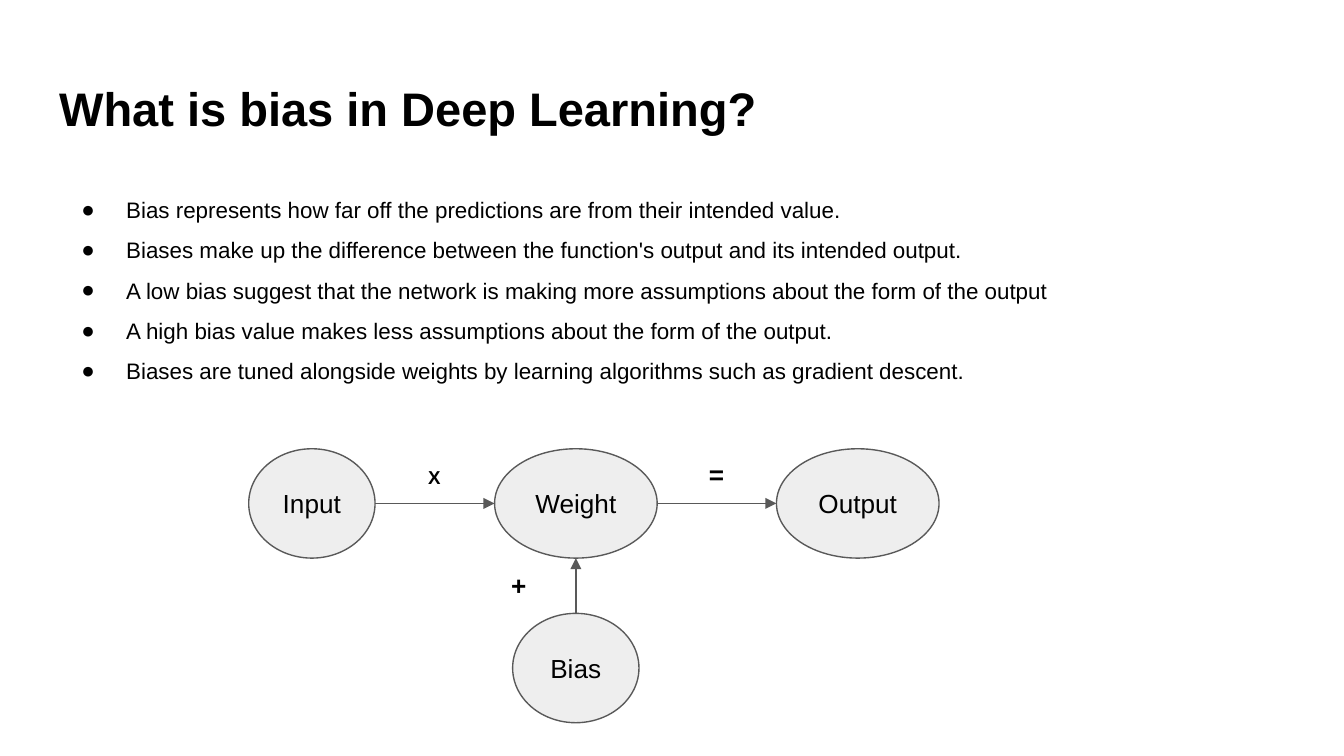
from dataclasses import dataclass

from lxml import etree
from pptx import Presentation
from pptx.dml.color import RGBColor
from pptx.enum.shapes import MSO_CONNECTOR, MSO_SHAPE
from pptx.enum.text import MSO_ANCHOR, MSO_AUTO_SIZE, PP_ALIGN
from pptx.oxml.ns import qn
from pptx.slide import Slide
from pptx.text.text import TextFrame
from pptx.util import Pt

ELLIPSE = MSO_SHAPE.OVAL
STRAIGHT = MSO_CONNECTOR.STRAIGHT
LEFT, CENTER = PP_ALIGN.LEFT, PP_ALIGN.CENTER
TOP, MIDDLE = MSO_ANCHOR.TOP, MSO_ANCHOR.MIDDLE
NO_AUTOFIT = MSO_AUTO_SIZE.NONE

COLORS = {"text": "000000", "node": "EEEEEE", "line": "595959"}
FONT = "Arial"
INSET = 7.2
LINE_WIDTH = 0.75
NODE_HEIGHT = 58.6
SMALL, LARGE = 67.7, 87.1
ROW_TOP, BIAS_TOP = 240.4, 328.6
WEIGHT_CENTER = 308.5

TITLE = "What is bias in Deep Learning?"
POINTS = [
    "Bias represents how far off the predictions are from their intended value.",
    "Biases make up the difference between the function's output and its intended output.",
    "A low bias suggest that the network is making more assumptions about the form of the output",
    "A high bias value makes less assumptions about the form of the output.",
    "Biases are tuned alongside weights by learning algorithms such as gradient descent.",
]


@dataclass(frozen=True)
class Node:
    label: str
    center: float
    top: float
    width: float

    @property
    def left(self) -> float:
        return self.center - self.width / 2

    @property
    def right(self) -> float:
        return self.center + self.width / 2

    @property
    def middle(self) -> float:
        return self.top + NODE_HEIGHT / 2

    @property
    def bottom(self) -> float:
        return self.top + NODE_HEIGHT


@dataclass(frozen=True)
class Operator:
    symbol: str
    left: float
    top: float
    height: float
    size: float


INPUT = Node("Input", 167.1, ROW_TOP, SMALL)
WEIGHT = Node("Weight", WEIGHT_CENTER, ROW_TOP, LARGE)
BIAS = Node("Bias", WEIGHT_CENTER, BIAS_TOP, SMALL)
OUTPUT = Node("Output", 459.5, ROW_TOP, LARGE)

ARROWS = [
    (INPUT.right, INPUT.middle, WEIGHT.left, WEIGHT.middle),
    (WEIGHT.right, WEIGHT.middle, OUTPUT.left, OUTPUT.middle),
    (BIAS.center, BIAS.top, WEIGHT.center, WEIGHT.bottom),
]
OPERATORS = [
    Operator("X", 213.9, 242.6, 26.6, 10),
    Operator("+", 259.2, 298.1, 31.7, 14),
    Operator("=", 365.1, 238.3, 31.7, 14),
]


def rgb(name: str) -> RGBColor:
    return RGBColor.from_string(COLORS[name])


def set_frame(frame: TextFrame, anchor: MSO_ANCHOR) -> None:
    frame.word_wrap = True
    frame.auto_size = NO_AUTOFIT
    frame.vertical_anchor = anchor
    frame.margin_left = frame.margin_right = Pt(INSET)
    frame.margin_top = frame.margin_bottom = Pt(INSET)


def format_text(frame: TextFrame, size: float, align: PP_ALIGN, bold: bool = False) -> None:
    for paragraph in frame.paragraphs:
        paragraph.alignment = align
        for run in paragraph.runs:
            run.font.name = FONT
            run.font.size = Pt(size)
            run.font.bold = bold
            run.font.color.rgb = rgb("text")


def add_title(slide: Slide) -> None:
    title = slide.shapes.title
    title.left, title.top, title.width, title.height = Pt(24.5), Pt(35.4), Pt(671), Pt(45.1)
    set_frame(title.text_frame, TOP)
    title.text_frame.text = TITLE
    format_text(title.text_frame, 25.2, LEFT, bold=True)


def add_points(slide: Slide) -> None:
    frame = slide.shapes.add_textbox(Pt(24.5), Pt(90.7), Pt(671), Pt(269)).text_frame
    set_frame(frame, TOP)
    frame.text = "\n".join(POINTS)
    for paragraph in frame.paragraphs:
        paragraph.line_spacing = 1.5
        properties = paragraph._p.get_or_add_pPr()
        properties.set("marL", str(Pt(36)))
        properties.set("indent", str(Pt(-24)))
        bullet_color = etree.SubElement(properties, qn("a:buClr"))
        etree.SubElement(bullet_color, qn("a:srgbClr"), val=COLORS["text"])
        etree.SubElement(properties, qn("a:buFont"), typeface=FONT)
        etree.SubElement(properties, qn("a:buChar"), char="●")
    format_text(frame, 12, LEFT)


def add_node(slide: Slide, node: Node) -> None:
    ellipse = slide.shapes.add_shape(
        ELLIPSE, Pt(node.left), Pt(node.top), Pt(node.width), Pt(NODE_HEIGHT))
    ellipse.shadow.inherit = False
    ellipse.fill.solid()
    ellipse.fill.fore_color.rgb = rgb("node")
    ellipse.line.color.rgb = rgb("line")
    ellipse.line.width = Pt(LINE_WIDTH)
    set_frame(ellipse.text_frame, MIDDLE)
    ellipse.text_frame.text = node.label
    format_text(ellipse.text_frame, 14, CENTER)


def add_arrow(slide: Slide, x1: float, y1: float, x2: float, y2: float) -> None:
    arrow = slide.shapes.add_connector(STRAIGHT, Pt(x1), Pt(y1), Pt(x2), Pt(y2))
    arrow.line.color.rgb = rgb("line")
    arrow.line.width = Pt(LINE_WIDTH)
    etree.SubElement(arrow.line._get_or_add_ln(), qn("a:tailEnd"), type="triangle")
    etree.SubElement(arrow._element.spPr, qn("a:effectLst"))


def add_operator(slide: Slide, operator: Operator) -> None:
    frame = slide.shapes.add_textbox(
        Pt(operator.left), Pt(operator.top), Pt(37.4), Pt(operator.height)).text_frame
    set_frame(frame, TOP)
    frame.text = operator.symbol
    format_text(frame, operator.size, CENTER, bold=True)


def main() -> None:
    presentation = Presentation()
    presentation.slide_width, presentation.slide_height = Pt(720), Pt(405)
    slide = presentation.slides.add_slide(presentation.slide_layouts[5])
    add_title(slide)
    add_points(slide)
    for node in (INPUT, WEIGHT, BIAS, OUTPUT):
        add_node(slide, node)
    for ends in ARROWS:
        add_arrow(slide, *ends)
    for operator in OPERATORS:
        add_operator(slide, operator)
    presentation.save("out.pptx")


if __name__ == "__main__":
    main()
